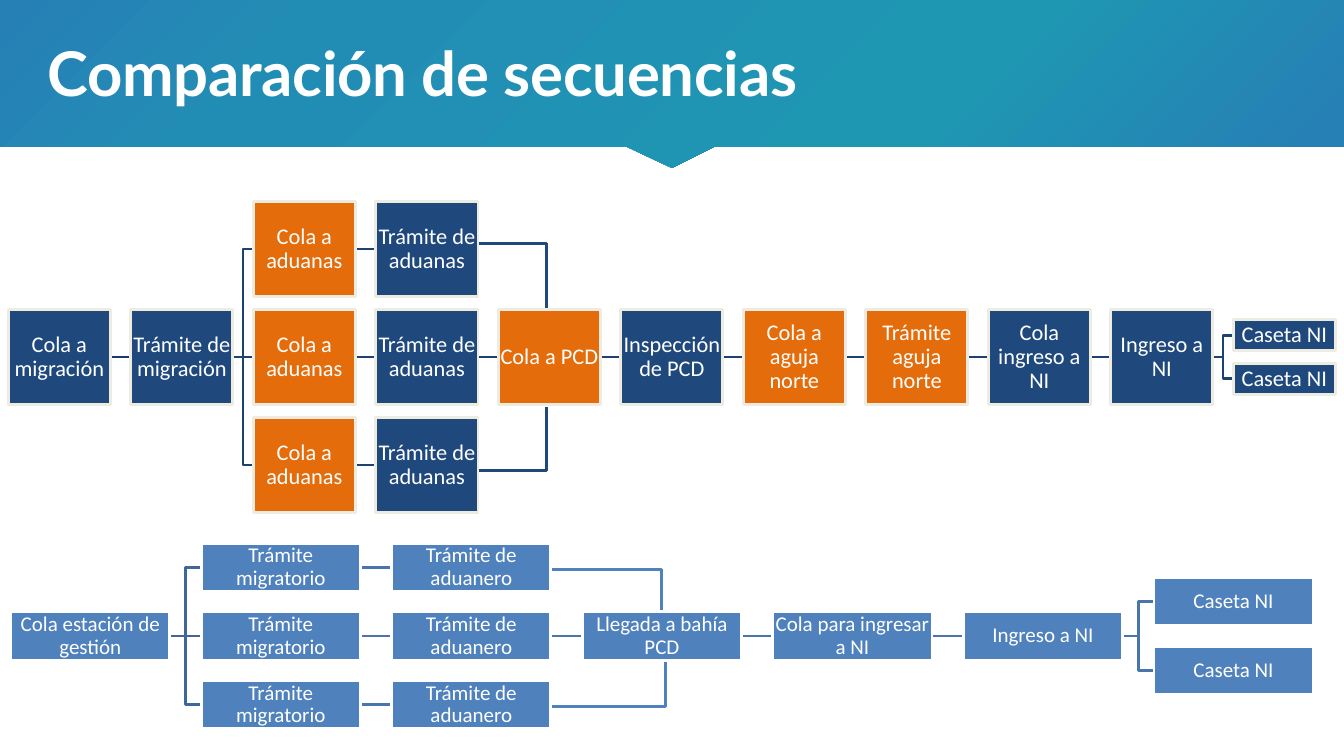
from dataclasses import dataclass

from pptx import Presentation
from pptx.dml.color import RGBColor
from pptx.enum.shapes import MSO_CONNECTOR, MSO_SHAPE
from pptx.enum.text import MSO_ANCHOR, MSO_AUTO_SIZE, PP_ALIGN
from pptx.oxml import parse_xml
from pptx.oxml.ns import nsdecls, qn
from pptx.shapes.autoshape import Shape
from pptx.shapes.connector import Connector
from pptx.slide import Slide
from pptx.util import Pt

WHITE = RGBColor(0xFF, 0xFF, 0xFF)
CREAM = RGBColor(0xEE, 0xEC, 0xE1)
NAVY = RGBColor(0x1F, 0x49, 0x7D)
ORANGE = RGBColor(0xE4, 0x6C, 0x0A)
BLUE = RGBColor(0x4F, 0x81, 0xBD)
NAVY_FIRST_LINK = RGBColor(0x19, 0x3A, 0x64)
NAVY_LINK = RGBColor(0x1C, 0x42, 0x71)
BLUE_FIRST_LINK = RGBColor(0x3F, 0x67, 0x97)
BLUE_LINK = RGBColor(0x48, 0x75, 0xAC)
SKY = RGBColor(0x27, 0x80, 0xB5)
SEA = RGBColor(0x22, 0x8D, 0xB4)
TEAL = RGBColor(0x1E, 0x97, 0xB3)

LINE_WIDTH = 2
HEADER_OUTLINE = [(0, 0), (960, 0), (960, 105), (510.5, 105),
                  (479.5, 120.2), (447.8, 105), (0, 105)]
HEADER_STOPS = [(0, SKY), (23, SEA), (69, TEAL), (97, SKY)]


@dataclass
class Step:
    """One column of equal boxes."""
    text: str
    fill: RGBColor
    count: int = 1


@dataclass
class Merge:
    """An elbow that runs sideways, then vertically into the trunk."""
    x1: float
    y1: float
    x2: float
    y2: float


@dataclass
class Flow:
    left: float
    middle: float
    col_pitch: float
    row_pitch: float
    box_width: float
    box_height: float
    booth_pitch: float
    booth_height: float
    font_size: float
    border: RGBColor
    first_link: RGBColor
    link: RGBColor
    merge_link: RGBColor
    steps: list[Step]
    merges: list[Merge]


FLOWS = [
    Flow(5.9, 255, 87.5, 77.1, 73, 68.2, 31.2, 22.3, 16,
         CREAM, NAVY_FIRST_LINK, NAVY_LINK, NAVY,
         [Step("Cola a migración", NAVY), Step("Trámite de migración", NAVY),
          Step("Cola a aduanas", ORANGE, 3), Step("Trámite de aduanas", NAVY, 3),
          Step("Cola a PCD", ORANGE), Step("Inspección de PCD", NAVY),
          Step("Cola a aguja norte", ORANGE), Step("Trámite aguja norte", ORANGE),
          Step("Cola ingreso a NI", NAVY), Step("Ingreso a NI", NAVY),
          Step("Caseta NI", NAVY, 2)],
         [Merge(342, 174.2, 390.2, 222), Merge(342, 336.2, 390.2, 291)]),
    Flow(7.7, 454.3, 136.1, 49, 113.6, 34.5, 49, 34.5, 15,
         WHITE, BLUE_FIRST_LINK, BLUE_LINK, BLUE,
         [Step("Cola estación de gestión", BLUE), Step("Trámite migratorio", BLUE, 3),
          Step("Trámite de aduanero", BLUE, 3), Step("Llegada a bahía PCD", BLUE),
          Step("Cola para ingresar a NI", BLUE), Step("Ingreso a NI", BLUE),
          Step("Caseta NI", BLUE, 2)],
         [Merge(391.7, 406.8, 472.3, 440), Merge(394.6, 504.7, 475.2, 468.7)]),
]


def set_all(target: object, values: dict[str, object]) -> None:
    for name, value in values.items():
        setattr(target, name, value)


def send_to_back(s: Slide, sp: Shape | Connector) -> None:
    s.shapes._spTree.insert(2, sp._element)


def add_header(s: Slide) -> None:
    builder = s.shapes.build_freeform(scale=Pt(1))
    builder.add_line_segments(HEADER_OUTLINE[1:], close=True)
    sp = builder.convert_to_shape()
    sp.shadow.inherit = False
    sp.line.fill.background()
    sp.fill.gradient()
    stops = "".join(f'<a:gs pos="{pos * 1000}"><a:srgbClr val="{color}"/></a:gs>'
                    for pos, color in HEADER_STOPS)
    grad = sp._element.spPr.find(qn("a:gradFill"))
    grad.getparent().replace(grad, parse_xml(
        f'<a:gradFill {nsdecls("a")} rotWithShape="1"><a:gsLst>{stops}</a:gsLst>'
        '<a:path path="circle"><a:fillToRect r="100000" b="100000"/></a:path>'
        '</a:gradFill>'))
    send_to_back(s, sp)


def add_title(s: Slide, text: str) -> None:
    sp = s.shapes.title
    set_all(sp, dict(left=Pt(33.8), top=Pt(21.6), width=Pt(896.4), height=Pt(57)))
    tf = sp.text_frame
    set_all(tf, dict(margin_left=0, margin_top=Pt(3.6), margin_right=0, margin_bottom=0,
                     word_wrap=True, auto_size=MSO_AUTO_SIZE.NONE,
                     vertical_anchor=MSO_ANCHOR.TOP))
    p = tf.paragraphs[0]
    p.alignment = PP_ALIGN.LEFT
    r = p.add_run()
    r.text = text
    set_all(r.font, dict(name="Lato", size=Pt(44), bold=True))
    r.font.color.rgb = WHITE
    r._r.get_or_add_rPr().set("spc", "-20")


def add_box(s: Slide, flow: Flow, step: Step, x: float, middle: float,
            height: float) -> Shape:
    sp = s.shapes.add_shape(MSO_SHAPE.RECTANGLE, Pt(x), Pt(middle - height / 2),
                            Pt(flow.box_width), Pt(height))
    sp.shadow.inherit = False
    sp.fill.solid()
    sp.fill.fore_color.rgb = step.fill
    sp.line.color.rgb = flow.border
    sp.line.width = Pt(LINE_WIDTH)
    tf = sp.text_frame
    margins = dict.fromkeys(
        ("margin_left", "margin_top", "margin_right", "margin_bottom"), Pt(0.7))
    set_all(tf, dict(margins, word_wrap=True, vertical_anchor=MSO_ANCHOR.MIDDLE))
    p = tf.paragraphs[0]
    set_all(p, dict(alignment=PP_ALIGN.CENTER, line_spacing=0.9))
    r = p.add_run()
    r.text = step.text
    set_all(r.font, dict(name="Calibri", size=Pt(flow.font_size)))
    r.font.color.rgb = WHITE
    return sp


def add_line(s: Slide, kind: MSO_CONNECTOR, ends: tuple[int, int, int, int],
             color: RGBColor) -> Connector:
    sp = s.shapes.add_connector(kind, *ends)
    sp.line.color.rgb = color
    sp.line.width = Pt(LINE_WIDTH)
    sp._element.spPr.append(parse_xml(f'<a:effectLst {nsdecls("a")}/>'))
    send_to_back(s, sp)
    return sp


def join(s: Slide, a: Shape, b: Shape, color: RGBColor) -> None:
    y1, y2 = a.top + a.height // 2, b.top + b.height // 2
    level = abs(y1 - y2) < Pt(1)
    kind = MSO_CONNECTOR.STRAIGHT if level else MSO_CONNECTOR.ELBOW
    sp = add_line(s, kind, (a.left + a.width, y1, b.left, y2), color)
    sp.begin_connect(a, 3)
    sp.end_connect(b, 1)


def add_merge(s: Slide, m: Merge, color: RGBColor) -> None:
    sp = add_line(s, MSO_CONNECTOR.ELBOW, (Pt(m.x1), Pt(m.y1), Pt(m.x2), Pt(m.y2)), color)
    guides = sp._element.spPr.find(qn("a:prstGeom")).find(qn("a:avLst"))
    guides.append(parse_xml(f'<a:gd {nsdecls("a")} name="adj1" fmla="val 100000"/>'))


def add_flow(s: Slide, flow: Flow) -> None:
    # Boxes, column by column; a pair of boxes is the booths
    columns = []
    for i, step in enumerate(flow.steps):
        booths = step.count == 2
        pitch = flow.booth_pitch if booths else flow.row_pitch
        height = flow.booth_height if booths else flow.box_height
        columns.append([
            add_box(s, flow, step, flow.left + i * flow.col_pitch,
                    flow.middle + (row - (step.count - 1) / 2) * pitch, height)
            for row in range(step.count)])
    # Links between neighbouring columns
    for i, (before, after) in enumerate(zip(columns, columns[1:])):
        if len(before) == len(after):
            pairs = list(zip(before, after))
        elif len(before) == 1:
            pairs = [(before[0], b) for b in after]
        else:
            pairs = [(before[len(before) // 2], after[0])]
        for a, b in pairs:
            join(s, a, b, flow.link if i else flow.first_link)
    for m in flow.merges:
        add_merge(s, m, flow.merge_link)


def main() -> None:
    prs = Presentation()
    prs.slide_width, prs.slide_height = Pt(960), Pt(540)
    s = prs.slides.add_slide(prs.slide_layouts[5])
    add_header(s)
    add_title(s, "Comparación de secuencias")
    for flow in FLOWS:
        add_flow(s, flow)
    prs.save("out.pptx")


if __name__ == "__main__":
    main()
